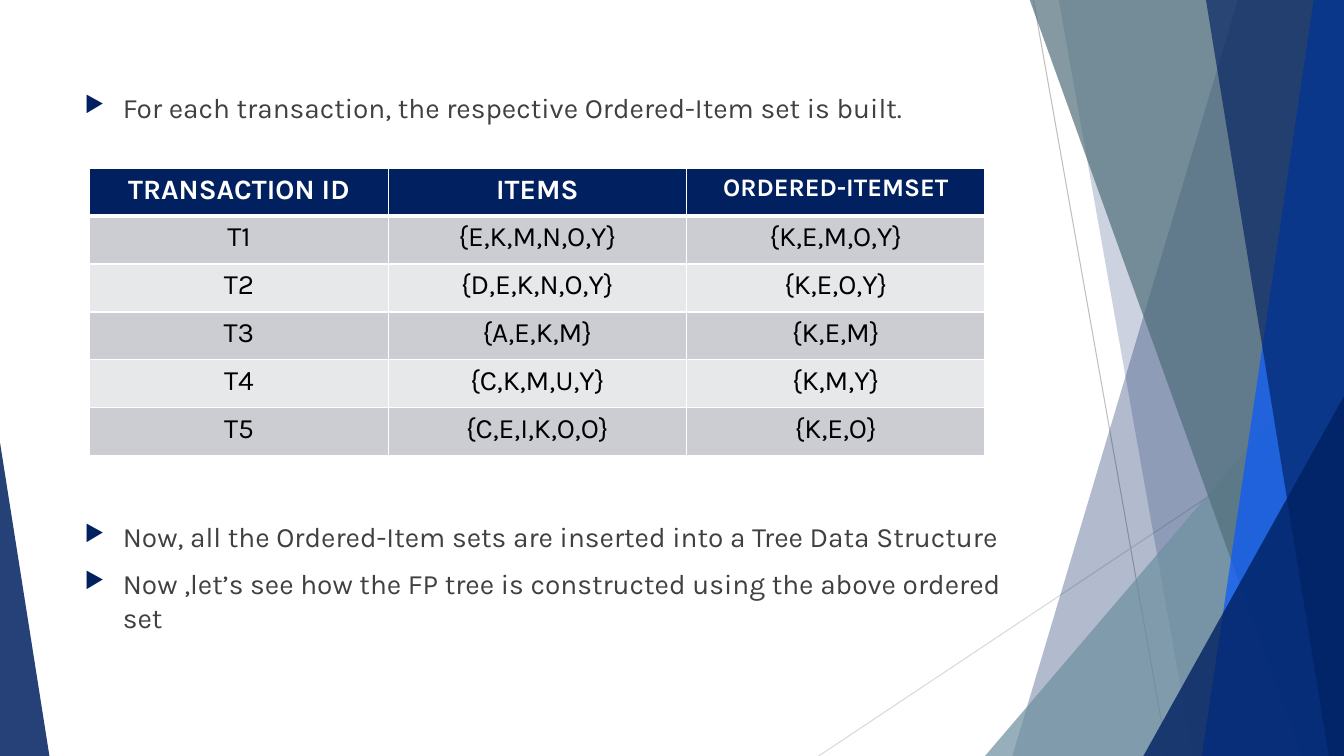
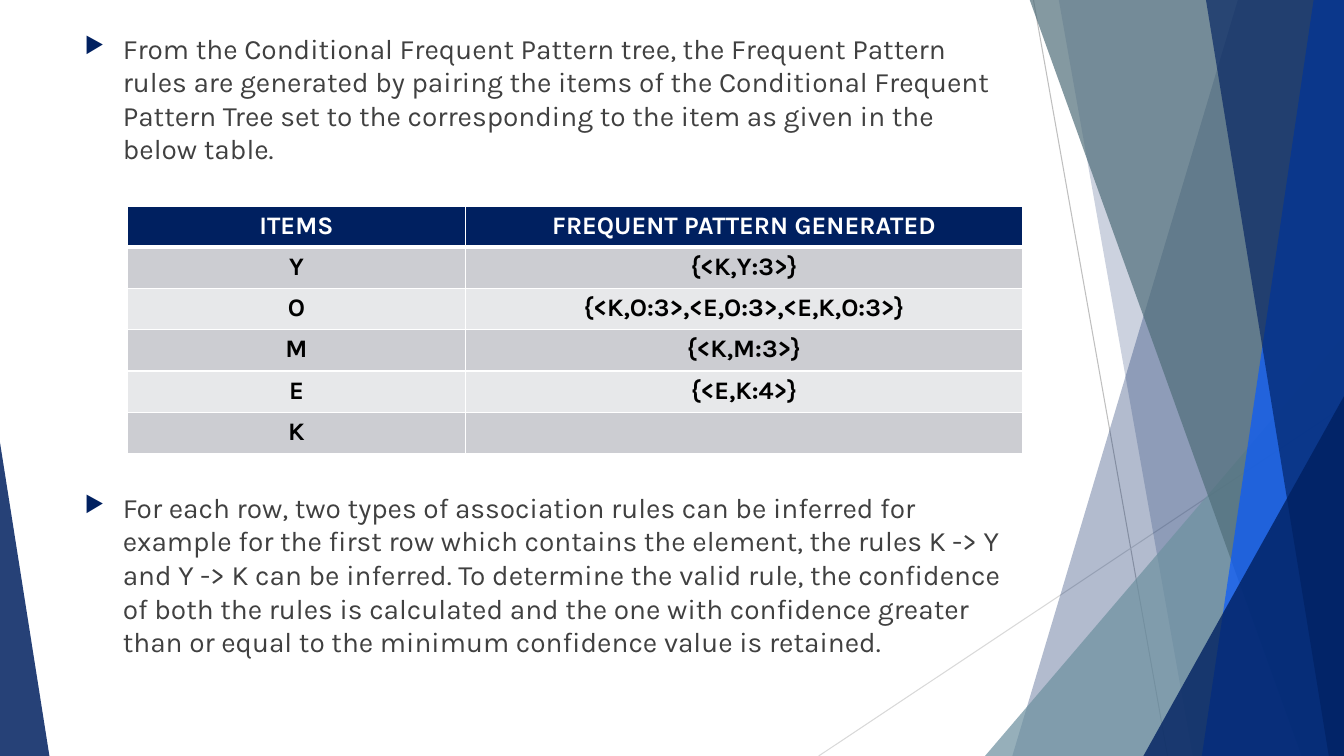
import dataclasses

import lxml.etree
import pptx
import pptx.dml.color
import pptx.enum.shapes
import pptx.enum.text
import pptx.oxml
import pptx.oxml.ns
import pptx.presentation
import pptx.slide
import pptx.util
from pptx.util import Inches

# Shared look
WIDTH, HEIGHT = 13.33, 7.5
TOP = -0.01
FONT = "Karla"
NAVY, SLATE, TEAL, BLUE = "002060", "506E7A", "6E91A0", "0759FF"
WHITE, BLACK, BODY_TEXT = "FFFFFF", "000000", "404040"
ROW_FILLS = ("CCCDD2", "E7E8EA")
BODY_LEFT, BODY_WIDTH = 0.74, 9.4
BULLET_INDENT = 0.38


@dataclasses.dataclass(frozen=True)
class Ray:
    """Thin line across the decoration."""
    start: tuple[float, float]
    end: tuple[float, float]
    color: str


@dataclasses.dataclass(frozen=True)
class Pane:
    """Full-height band with a slanted left edge, reaching the right edge."""
    top_x: float
    bottom_x: float
    color: str
    opacity: int


@dataclasses.dataclass(frozen=True)
class Wedge:
    """Right triangle standing on the bottom edge; apex 0 is left, 1 right."""
    left: float
    top: float
    width: float
    apex: int
    color: str
    opacity: int


@dataclasses.dataclass(frozen=True)
class Bullet:
    text: str
    space_before: float = 10


@dataclasses.dataclass(frozen=True)
class Grid:
    left: float
    top: float
    columns: tuple[float, ...]
    header_height: float
    row_height: float
    header_sizes: tuple[int, ...]
    body_size: int
    body_bold: bool
    rows: tuple[tuple[str, ...], ...]


@dataclasses.dataclass(frozen=True)
class Content:
    body_top: float
    body_height: float
    bullets: tuple[Bullet, ...]
    grid: Grid


RAYS = (
    Ray((10.25, 0), (11.58, HEIGHT), "BFBFBF"),
    Ray((WIDTH, 4.03), (8.12, HEIGHT), "D9D9D9"),
)
FACETS = (
    Pane(12.28, 10.04, NAVY, 30),
    Pane(10.5, 11.83, NAVY, 20),
    Wedge(9.77, 3.33, 3.56, 1, TEAL, 72),
    Pane(10.21, 12.91, SLATE, 70),
    Pane(13.03, 11.92, BLUE, 70),
    Pane(11.96, 13.18, NAVY, 65),
    Wedge(11.34, 3.93, 1.99, 1, NAVY, 80),
    Wedge(0, 4.39, 0.49, 0, NAVY, 85),
)


# Formatting helpers
def rgb(color: str) -> pptx.dml.color.RGBColor:
    return pptx.dml.color.RGBColor.from_string(color)


def add_child(parent, tag: str, **attributes: str):
    child = lxml.etree.SubElement(parent, pptx.oxml.ns.qn(tag))
    for name, value in attributes.items():
        child.set(name, value)
    return child


def write(para, text: str, *, size: float, color: str, bold: bool = False,
          align=pptx.enum.text.PP_ALIGN.LEFT) -> None:
    para.alignment = align
    span = para.add_run()
    span.text = text
    span.font.name = FONT
    span.font.size = pptx.util.Pt(size)
    span.font.bold = bold
    span.font.color.rgb = rgb(color)


def add_bullet_mark(para) -> None:
    properties = para._p.get_or_add_pPr()
    indent = Inches(BULLET_INDENT)
    properties.set("marL", str(indent))
    properties.set("indent", str(-indent))
    add_child(add_child(properties, "a:buClr"), "a:srgbClr", val=NAVY)
    add_child(properties, "a:buSzPct", val="80000")
    add_child(properties, "a:buChar", char="\u25b6")


def set_border(cell, side: str, weight: float) -> None:
    line = add_child(cell._tc.get_or_add_tcPr(), f"a:{side}",
                     w=str(pptx.util.Pt(weight)))
    add_child(add_child(line, "a:solidFill"), "a:srgbClr", val=WHITE)


# Shared decoration
def draw_ray(page: pptx.slide.Slide, ray: Ray) -> None:
    line = page.shapes.add_connector(
        pptx.enum.shapes.MSO_CONNECTOR.STRAIGHT,
        *map(Inches, ray.start + ray.end))
    line.line.color.rgb = rgb(ray.color)
    line.line.width = pptx.util.Pt(0.75)
    add_child(line._element.spPr, "a:effectLst")


def draw_facet(page: pptx.slide.Slide, facet: Pane | Wedge) -> None:
    if isinstance(facet, Pane):
        corners = [(facet.top_x, TOP), (WIDTH, TOP),
                   (WIDTH, HEIGHT), (facet.bottom_x, HEIGHT)]
        points = [(Inches(x), Inches(y)) for x, y in corners]
        outline = page.shapes.build_freeform(*points[0])
        outline.add_line_segments(points[1:], close=True)
        shape = outline.convert_to_shape()
    else:
        shape = page.shapes.add_shape(
            pptx.enum.shapes.MSO_SHAPE.ISOSCELES_TRIANGLE,
            Inches(facet.left), Inches(facet.top),
            Inches(facet.width), Inches(HEIGHT - facet.top))
        shape.adjustments[0] = facet.apex
    shape.shadow.inherit = False
    shape.line.fill.background()
    shape.fill.solid()
    shape.fill.fore_color.rgb = rgb(facet.color)
    color = shape._element.spPr.find(".//" + pptx.oxml.ns.qn("a:srgbClr"))
    add_child(color, "a:alpha", val=str(facet.opacity * 1000))


# Slide content
def draw_body(page: pptx.slide.Slide, content: Content) -> None:
    box = page.shapes.add_textbox(
        Inches(BODY_LEFT), Inches(content.body_top),
        Inches(BODY_WIDTH), Inches(content.body_height))
    frame = box.text_frame
    frame.word_wrap = True
    for index, bullet in enumerate(content.bullets):
        para = frame.add_paragraph() if index else frame.paragraphs[0]
        add_bullet_mark(para)
        write(para, bullet.text, size=20, color=BODY_TEXT)
        para.space_before = pptx.util.Pt(bullet.space_before)


def draw_grid(page: pptx.slide.Slide, grid: Grid) -> None:
    body_rows = len(grid.rows) - 1
    table = page.shapes.add_table(
        len(grid.rows), len(grid.columns), Inches(grid.left), Inches(grid.top),
        Inches(sum(grid.columns)),
        Inches(grid.header_height + body_rows * grid.row_height)).table
    for column, width in zip(table.columns, grid.columns):
        column.width = Inches(width)
    for r, texts in enumerate(grid.rows):
        header = r == 0
        table.rows[r].height = Inches(
            grid.header_height if header else grid.row_height)
        for c, text in enumerate(texts):
            cell = table.cell(r, c)
            set_border(cell, "lnL", 1)
            set_border(cell, "lnR", 1)
            set_border(cell, "lnT", 3 if r == 1 else 1)
            set_border(cell, "lnB", 3 if header else 1)
            cell.fill.solid()
            cell.fill.fore_color.rgb = rgb(
                NAVY if header else ROW_FILLS[(r - 1) % 2])
            if text:
                write(cell.text_frame.paragraphs[0], text,
                      size=grid.header_sizes[c] if header else grid.body_size,
                      color=WHITE if header else BLACK,
                      bold=header or grid.body_bold,
                      align=pptx.enum.text.PP_ALIGN.CENTER)


def add_page(deck: pptx.presentation.Presentation, content: Content) -> None:
    page = deck.slides.add_slide(deck.slide_layouts.get_by_name("Blank"))
    for ray in RAYS:
        draw_ray(page, ray)
    for facet in FACETS:
        draw_facet(page, facet)
    draw_body(page, content)
    draw_grid(page, content.grid)


ORDERED_ITEMS = Content(
    body_top=0.85, body_height=5.75,
    bullets=(
        Bullet("For each transaction, the respective Ordered-Item set is "
               "built."),
        Bullet("Now, all the Ordered-Item sets are inserted into a Tree Data "
               "Structure", space_before=282),
        Bullet("Now ,let\u2019s see how the FP tree is constructed using the "
               "above ordered set"),
    ),
    grid=Grid(
        left=0.89, top=1.67, columns=(2.96,) * 3,
        header_height=2.85 / 6, row_height=2.85 / 6,
        header_sizes=(20, 20, 18), body_size=20, body_bold=False,
        rows=(
            ("TRANSACTION ID", "ITEMS", "ORDERED-ITEMSET"),
            ("T1", "{E,K,M,N,O,Y}", "{K,E,M,O,Y}"),
            ("T2", "{D,E,K,N,O,Y}", "{K,E,O,Y}"),
            ("T3", "{A,E,K,M}", "{K,E,M}"),
            ("T4", "{C,K,M,U,Y}", "{K,M,Y}"),
            ("T5", "{C,E,I,K,O,O}", "{K,E,O}"),
        )))

FREQUENT_PATTERNS = Content(
    body_top=0.26, body_height=6.93,
    bullets=(
        Bullet("From the Conditional Frequent Pattern tree, the Frequent "
               "Pattern rules are generated by pairing the items of the "
               "Conditional Frequent Pattern Tree set to the corresponding "
               "to the item as given in the below table."),
        Bullet("For each row, two types of association rules can be inferred "
               "for example for the first row which contains the element, the "
               "rules K -> Y and Y -> K can be inferred. To determine the "
               "valid rule, the confidence of both the rules is calculated "
               "and the one with confidence greater than or equal to the "
               "minimum confidence value is retained.", space_before=232),
    ),
    grid=Grid(
        left=1.26, top=2.05, columns=(3.36, 5.52),
        header_height=0.38, row_height=0.41,
        header_sizes=(18, 18), body_size=18, body_bold=True,
        rows=(
            ("ITEMS", "FREQUENT PATTERN GENERATED"),
            ("Y", "{<K,Y:3>}"),
            ("O", "{<K,O:3>,<E,O:3>,<E,K,O:3>}"),
            ("M", "{<K,M:3>}"),
            ("E", "{<E,K:4>}"),
            ("K", ""),
        )))

deck = pptx.Presentation()
deck.slide_width, deck.slide_height = Inches(WIDTH), Inches(HEIGHT)
for content in (ORDERED_ITEMS, FREQUENT_PATTERNS):
    add_page(deck, content)
deck.save("out.pptx")
